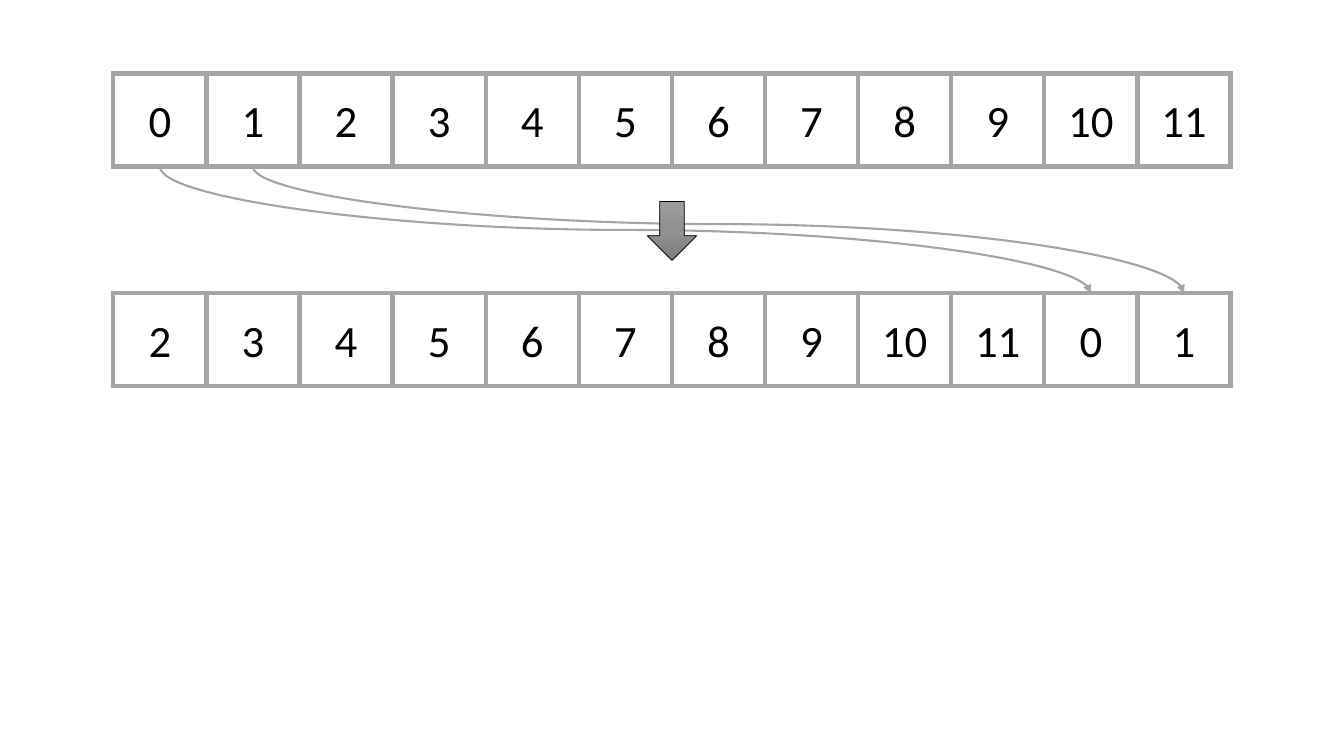
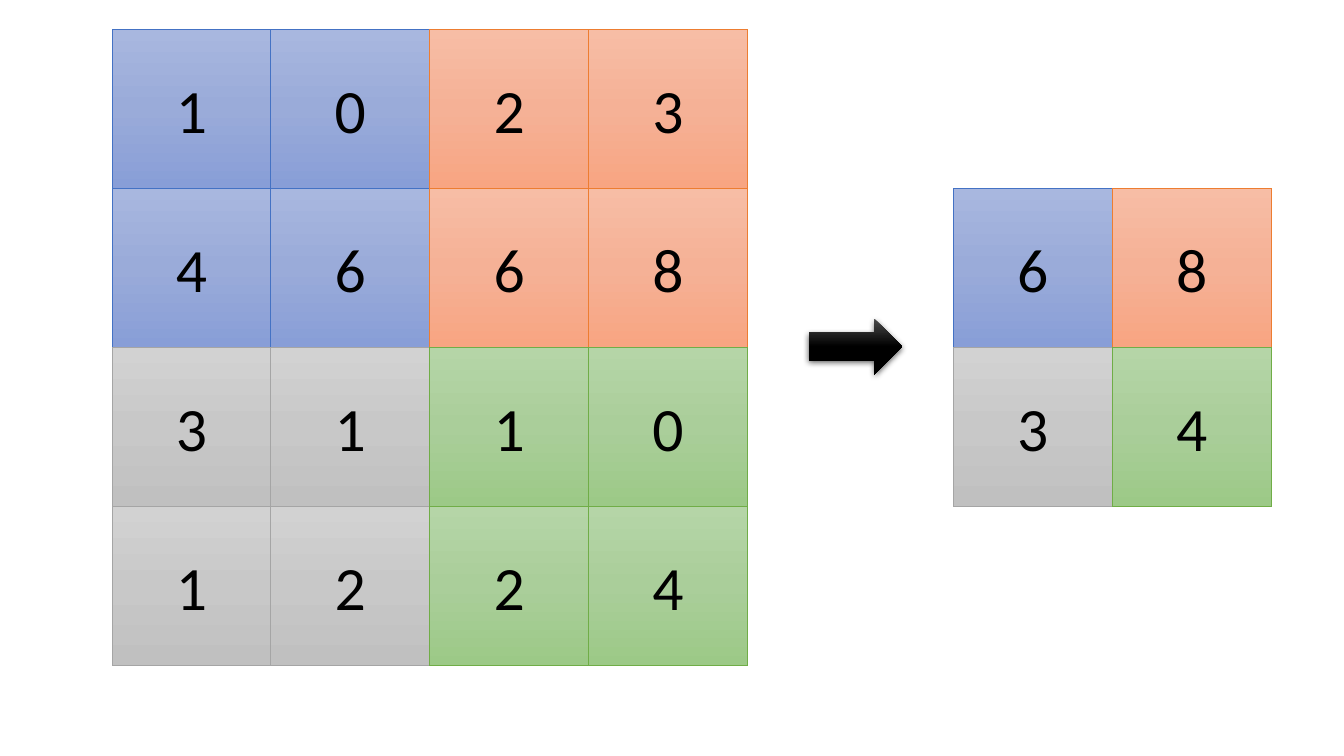
from copy import deepcopy
from itertools import product

from lxml.etree import SubElement
from pptx import Presentation
from pptx.dml.color import RGBColor
from pptx.enum.shapes import MSO_CONNECTOR, MSO_SHAPE
from pptx.enum.text import MSO_ANCHOR, PP_ALIGN
from pptx.oxml.ns import qn
from pptx.util import Emu, Pt

PX = 6350  # EMU per px: the slide is 1920 x 1080 px

BLACK = RGBColor(0x00, 0x00, 0x00)
WHITE = RGBColor(0xFF, 0xFF, 0xFF)
BLUE = RGBColor(0x44, 0x72, 0xC4)
ORANGE = RGBColor(0xED, 0x7D, 0x31)
GREY = RGBColor(0xA5, 0xA5, 0xA5)
GREEN = RGBColor(0x70, 0xAD, 0x47)


def ramp(*codes):
    return [RGBColor.from_string(code) for code in codes]


# Top, middle and bottom colour of each gradient
TINTS = {
    BLUE: ramp("A8B7DF", "9AABD9", "889ED7"),
    ORANGE: ramp("F7BDA5", "F5B196", "F8A582"),
    GREY: ramp("D2D2D2", "C8C8C8", "C0C0C0"),
    GREEN: ramp("B5D5A7", "AACE9A", "9CC987"),
}
GREY_ARROW = ramp("9D9D9D", "909090", "7C7C7C")
BLACK_ARROW = ramp("4B4B4B", "000000", "000000")


class Deck:
    """Holds the shared style and the current slide."""

    FONT = {"name": "Calibri", "bold": False}
    FRAME = {"word_wrap": True, "vertical_anchor": MSO_ANCHOR.MIDDLE}

    def __init__(self):
        self.prs = Presentation()
        self.prs.slide_width, self.prs.slide_height = Emu(1920 * PX), Emu(1080 * PX)
        self.s = None

    def new_slide(self):
        self.s = self.prs.slides.add_slide(self.prs.slide_layouts[6])

    @staticmethod
    def apply(target, values):
        for name, value in values.items():
            setattr(target, name, value)

    @staticmethod
    def gradient(sp, colors):
        sp.fill.gradient()
        sp.fill.gradient_angle = 270
        stops = sp._element.spPr.find(".//" + qn("a:gsLst"))
        stops.append(deepcopy(stops[-1]))
        for i, (stop, color) in enumerate(zip(sp.fill.gradient_stops, colors)):
            stop.position = i / 2
            stop.color.rgb = color

    def shape(self, kind, x, y, w, h, fill, line=None, weight=0.5):
        """Add a preset shape; fill is one colour or a list of gradient colours."""
        sp = self.s.shapes.add_shape(kind, *(Emu(v * PX) for v in (x, y, w, h)))
        sp.shadow.inherit = False
        if isinstance(fill, list):
            self.gradient(sp, fill)
        else:
            sp.fill.solid()
            sp.fill.fore_color.rgb = fill
        if line is None:
            sp.line.fill.background()
        else:
            sp.line.color.rgb = line
            sp.line.width = Pt(weight)
            SubElement(sp._element.spPr.find(qn("a:ln")), qn("a:miter"), lim="800000")
        return sp

    def cell(self, value, x, y, size, pt, fill, line, weight=0.5):
        """Add a square with a centred number."""
        sp = self.shape(MSO_SHAPE.RECTANGLE, x, y, size, size, fill, line, weight)
        tf = sp.text_frame
        self.apply(tf, self.FRAME)
        p = tf.paragraphs[0]
        p.alignment = PP_ALIGN.CENTER
        r = p.add_run()
        r.text = str(value)
        self.apply(r.font, {**self.FONT, "size": Pt(pt)})
        r.font.color.rgb = BLACK
        return sp

    def curve(self, start, end, bend):
        """Join the bottom of one cell to the top of another with a curved arrow."""
        cn = self.s.shapes.add_connector(MSO_CONNECTOR.CURVE, 0, 0, 0, 0)
        cn.begin_connect(start, 2)
        cn.end_connect(end, 0)
        cn.line.color.rgb = GREY
        cn.line.width = Pt(1.5)
        # The curve leaves downwards, so its frame is turned by a quarter
        w, h = cn.width, cn.height
        mid_x, mid_y = cn.left + w // 2, cn.top + h // 2
        self.apply(cn, {"left": Emu(mid_x - h // 2), "top": Emu(mid_y - w // 2),
                        "width": h, "height": w})
        spPr = cn._element.spPr
        xfrm = spPr.find(qn("a:xfrm"))
        xfrm.set("rot", "16200000")
        xfrm.set("flipH", "1")
        guides = spPr.find(qn("a:prstGeom")).get_or_add_avLst()
        SubElement(guides, qn("a:gd"), name="adj1", fmla=f"val {bend}")
        SubElement(spPr.find(qn("a:ln")), qn("a:tailEnd"), type="triangle")
        SubElement(spPr, qn("a:effectLst"))

    def drop_shadow(self, sp):
        effects = sp._element.spPr.find(qn("a:effectLst"))
        shadow = SubElement(effects, qn("a:outerShdw"), blurRad=str(Pt(4.5)),
                            dist=str(Pt(1.5)), dir="5400000", algn="ctr", rotWithShape="0")
        color = SubElement(shadow, qn("a:srgbClr"), val=str(BLACK))
        SubElement(color, qn("a:alpha"), val="63000")


def rotation_slide(deck):
    deck.new_slide()
    left, size, count, shift = 162, 133, 12, 2

    # Row before and row after the rotation
    def row(y, offset):
        return [deck.cell(n, left + (n - offset) % count * size, y, size, 32, WHITE, GREY, 3)
                for n in range(count)]

    before, after = row(105, 0), row(419, shift)

    # Numbers that wrap round to the end
    for start, end, bend in zip(before, after, (50000, 45400)):
        deck.curve(start, end, bend)
    deck.shape(MSO_SHAPE.DOWN_ARROW, 925, 288, 70, 84, GREY_ARROW, BLACK)


def pooling_slide(deck):
    deck.new_slide()
    size, top = 227, 42
    numbers = [[1, 0, 2, 3],
               [4, 6, 6, 8],
               [3, 1, 1, 0],
               [1, 2, 2, 4]]
    hues = [[BLUE, ORANGE],
            [GREY, GREEN]]

    def square(value, left, row, col, hue):
        deck.cell(value, left + col * size, top + row * size, size, 44, TINTS[hue], hue)

    # Input grid, block by block
    for block_row, block_col, i, j in product(range(2), repeat=4):
        row, col = 2 * block_row + i, 2 * block_col + j
        square(numbers[row][col], 160, row, col, hues[block_row][block_col])

    # Largest number of each block
    for row, col in product(range(2), repeat=2):
        block = [n for line in numbers[2 * row:2 * row + 2] for n in line[2 * col:2 * col + 2]]
        square(max(block), 1362, row + 1, col, hues[row][col])

    arrow = deck.shape(MSO_SHAPE.RIGHT_ARROW, 1156, 455, 133, 80, BLACK_ARROW)
    deck.drop_shadow(arrow)


def main():
    deck = Deck()
    rotation_slide(deck)
    pooling_slide(deck)
    deck.prs.save("out.pptx")


if __name__ == "__main__":
    main()
